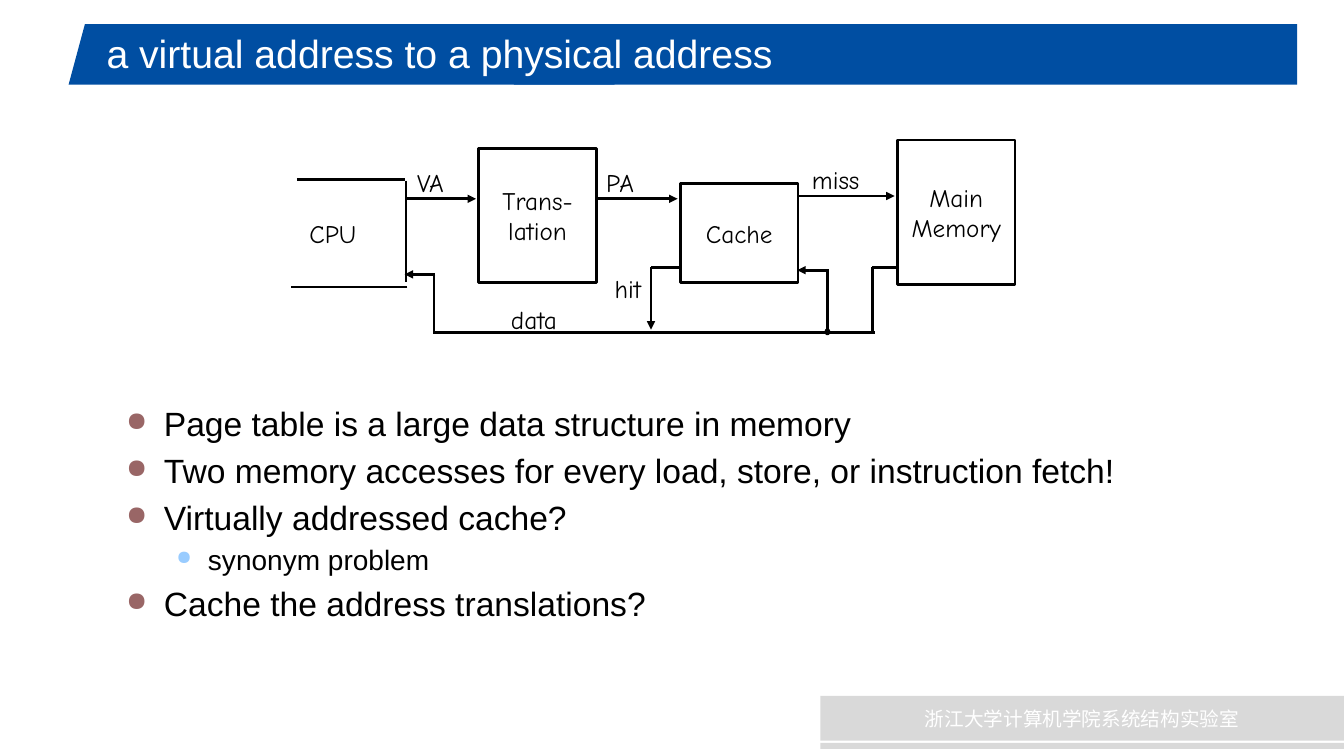
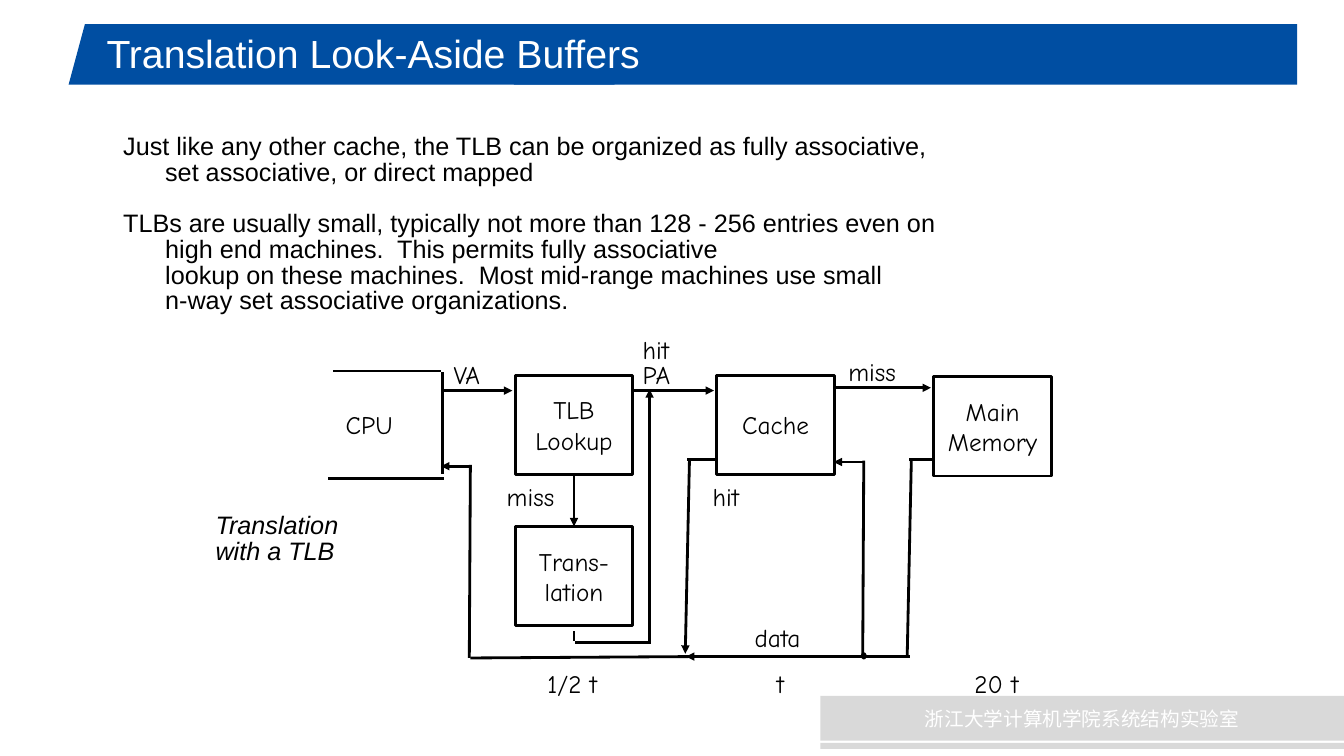
from dataclasses import dataclass

from lxml import etree
from pptx import Presentation
from pptx.dml.color import RGBColor
from pptx.enum import shapes, text
from pptx.oxml.ns import qn
from pptx.util import Pt


@dataclass(frozen=True)
class Theme:
    blue: str = "004EA2"
    gray: str = "D9D9D9"
    white: str = "FFFFFF"
    ink: str = "000000"
    dot: str = "99CCFF"
    bullets: tuple = ("996666", "99CCFF")
    bullet_scale: tuple = (80, 70)
    bullet_indent: tuple = ((27, 27), (58.5, 22.5))  # margin, hang
    body_sizes: tuple = (24, 20)
    font: str = "Arial"
    sketch: str = "Comic Neue"
    cjk: str = "Noto Sans CJK SC"
    title: int = 28
    note: int = 18
    footer: int = 14
    line: int = 2
    tight: float = 0.85


T = Theme()
LABEL_WIDTH = {"CPU": 44, "VA": 35, "PA": 32, "miss": 47, "hit": 34,
               "data": 49, "1/2 t": 53, "t": 19, "20 t": 46}
NODE_W, NODE_H = 84, 71
LEFT, CENTER = text.PP_ALIGN.LEFT, text.PP_ALIGN.CENTER
TOP, MIDDLE = text.MSO_ANCHOR.TOP, text.MSO_ANCHOR.MIDDLE


# Basic parts
def rgb(color):
    return RGBColor.from_string(color)


def sub(parent, tag, **attrs):
    return etree.SubElement(parent, qn(tag), attrs)


def style(p, size, color=T.ink, font=T.font, italic=None):
    p.font.size, p.font.name, p.font.italic = Pt(size), font, italic
    p.font.color.rgb = rgb(color)
    sub(p._p.pPr.find(qn("a:defRPr")), "a:ea", typeface=font)


def write(tf, lines, size, color=T.ink, font=T.font, align=LEFT, spacing=None,
          italic=None):
    for i, line in enumerate(lines):
        p = tf.paragraphs[0] if i == 0 else tf.add_paragraph()
        p.text, p.alignment, p.line_spacing = line, align, spacing
        style(p, size, color, font, italic)


def textbox(s, box, anchor=TOP, wrap=True, insets=None):
    tf = s.shapes.add_textbox(*map(Pt, box)).text_frame
    tf.word_wrap, tf.vertical_anchor = wrap, anchor
    if insets:
        dx, dy = map(Pt, insets)
        tf.margin_left = tf.margin_right = dx
        tf.margin_top = tf.margin_bottom = dy
    return tf


def note(s, box, lines, font=T.font, italic=None):
    tf = textbox(s, box, wrap=False, insets=(5, 2))
    tf.auto_size = text.MSO_AUTO_SIZE.SHAPE_TO_FIT_TEXT
    write(tf, lines, T.note, font=font, spacing=T.tight, italic=italic)


def shape(s, kind, box, fill=None, line=None):
    sp = s.shapes.add_shape(kind, *map(Pt, box))
    sp.shadow.inherit = False
    if fill:
        sp.fill.solid()
        sp.fill.fore_color.rgb = rgb(fill)
    else:
        sp.fill.background()
    if line:
        sp.line.color.rgb, sp.line.width = rgb(line), Pt(T.line)
    else:
        sp.line.fill.background()
    return sp


class Diagram:
    """Draws parts relative to the corner of the diagram."""

    def __init__(self, s, x, y):
        self.s, self.x, self.y = s, x, y

    def line(self, x1, y1, x2, y2, arrow=False):
        c = self.s.shapes.add_connector(
            shapes.MSO_CONNECTOR.STRAIGHT, Pt(self.x + x1), Pt(self.y + y1),
            Pt(self.x + x2), Pt(self.y + y2))
        c.line.color.rgb, c.line.width = rgb(T.ink), Pt(T.line)
        if arrow:
            sub(c.line._get_or_add_ln(), "a:tailEnd", type="triangle")
        sub(c._element.spPr, "a:effectLst")
        return c

    def node(self, lines, x, y, h=NODE_H):
        sp = shape(self.s, shapes.MSO_SHAPE.RECTANGLE,
                   (self.x + x, self.y + y, NODE_W, h), line=T.ink)
        sp.text_frame.word_wrap = False
        sp.text_frame.vertical_anchor = MIDDLE
        write(sp.text_frame, lines, T.note, font=T.sketch, align=CENTER)
        return sp

    def label(self, words, x, y):
        box = (self.x + x, self.y + y, LABEL_WIDTH[words], 22)
        note(self.s, box, [words], T.sketch)

    def dot(self, x, y):
        shape(self.s, shapes.MSO_SHAPE.OVAL, (self.x + x, self.y + y, 2, 3),
              T.dot, T.ink)


# Title band and footer
def frame(prs, title):
    s = prs.slides.add_slide(prs.slide_layouts[6])
    slant = shape(s, shapes.MSO_SHAPE.TRAPEZOID, (49, 17.3, 390, 43.2), T.blue)
    slant.adjustments[0] = 0.27
    shape(s, shapes.MSO_SHAPE.RECTANGLE, (367, 17.3, 559.5, 43.2), T.blue)
    bar = shape(s, shapes.MSO_SHAPE.RECTANGLE, (586, 497, 374, 32), T.gray)
    bar.text_frame.vertical_anchor = MIDDLE
    write(bar.text_frame, ["浙江大学计算机学院系统结构实验室"], T.footer,
          T.white, T.cjk, CENTER)
    shape(s, shapes.MSO_SHAPE.RECTANGLE, (586, 530.6, 374, 4.3), T.gray)
    write(textbox(s, (69, 18, 829, 40), MIDDLE), [title], T.title, T.white)
    return s


# Bulleted text: (level, words)
def bullets(s, box, items):
    tf = textbox(s, box)
    for i, (level, words) in enumerate(items):
        p = tf.paragraphs[0] if i == 0 else tf.add_paragraph()
        p.text, p.level = words, level
        margin, hang = T.bullet_indent[level]
        pPr = p._p.get_or_add_pPr()
        pPr.set("marL", str(Pt(margin)))
        pPr.set("indent", str(-Pt(hang)))
        sub(sub(pPr, "a:spcBef"), "a:spcPct", val="20000")
        sub(sub(pPr, "a:buClr"), "a:srgbClr", val=T.bullets[level])
        sub(pPr, "a:buSzPct", val=str(T.bullet_scale[level] * 1000))
        sub(pPr, "a:buChar", char="●")
        style(p, T.body_sizes[level])


# Paragraphs whose later lines are indented
def hanging_text(s, box, paragraphs, hang=30, gap=18.5):
    tf = textbox(s, box, insets=(5, 2))
    write(tf, paragraphs, T.note, spacing=T.tight)
    for i, p in enumerate(tf.paragraphs):
        p.space_before = Pt(gap if i else 0)
        p._p.pPr.set("marL", str(Pt(hang)))
        p._p.pPr.set("indent", str(-Pt(hang)))


# CPU, cache and memory, with the data bus at the given depth
def datapath(s, x, y, bus, memory_top, memory_h, lean=0):
    d = Diagram(s, x, y)
    # CPU, open on the left
    d.line(4, 28, 81, 28)
    d.line(82, 29, 82, 101.5)
    d.line(83, 105, 0, 105)
    d.label("CPU", 8, 57)
    # Cache and memory
    d.node(["Cache"], 278, 31)
    d.node(["Main", "Memory"], 433, memory_top, memory_h)
    # Requests
    for x1, x2, level in ((83, 132, 42), (217.5, 276, 42), (363, 431, 40)):
        d.line(x1, level, x2, level, arrow=True)
    d.label("VA", 85, 21)
    d.label("PA", 220, 21)
    d.label("miss", 367, 19)
    # Data from memory and cache down to the bus
    d.line(433, 91, 415, 91)
    d.line(415.5 + lean, 91, 415.5 - lean, bus)
    d.line(278, 91, 257, 91)
    d.line(257 + lean, 91, 257 - lean, bus - 2, arrow=True)
    # Data from the bus up to the CPU and cache
    for foot, tip in ((102, 81), (383, 361.5)):
        level = 96 if foot == 102 else 93
        d.line(foot - lean / 2, bus + 1, foot, level - 1)
        d.line(foot + 1, level, tip, level, arrow=True)
    d.dot(382, bus - 2)
    return d


def address_slide(prs):
    s = frame(prs, "a virtual address to a physical address")
    bus = 137.5
    d = datapath(s, 208, 100, bus, memory_top=0, memory_h=103)
    d.node(["Trans-", "lation"], 134, 6, 96)
    d.line(417, bus, 101, bus)
    d.label("hit", 226, 96.5)
    d.label("data", 152, 119)
    bullets(s, (83, 284, 828, 219), [
        (0, "Page table is a large data structure in memory"),
        (0, "Two memory accesses for every load, store, or instruction fetch!"),
        (0, "Virtually addressed cache?"),
        (1, "synonym problem"),
        (0, "Cache the address translations?")])


def tlb_slide(prs):
    s = frame(prs, "Translation Look-Aside Buffers")
    hanging_text(s, (83, 94.3, 796, 134), [
        "Just like any other cache, the TLB can be organized as fully "
        "associative,\vset associative, or direct mapped",
        "TLBs are usually small, typically not more than 128 - 256 entries "
        "even on\vhigh end machines.  This permits fully associative\v"
        "lookup on these machines.  Most mid-range machines use small\v"
        "n-way set associative organizations."])
    bus = 232
    d = datapath(s, 234, 237, bus, memory_top=32, memory_h=NODE_H, lean=1.5)
    # Lookup, and translation on a miss
    lookup = d.node(["TLB", "Lookup"], 134, 31)
    translation = d.node(["Trans-", "lation"], 134, 139)
    miss = d.line(176, 102, 176, 139, arrow=True)
    miss.begin_connect(lookup, 2)
    miss.end_connect(translation, 0)
    d.label("miss", 123, 108)
    # Translated address joins the path to the cache
    d.line(176, 214, 176, 221)
    d.line(177, 222, 229, 222)
    d.line(230, 223, 230, 41, arrow=True)
    d.label("hit", 220, 3)
    # Bus
    d.line(416, bus, 256, bus, arrow=True)
    d.line(258, bus, 102, bus + 1)
    d.label("hit", 270, 108)
    d.label("data", 300, 209)
    # Access times
    for words, x in (("1/2 t", 152), ("t", 316), ("20 t", 457)):
        d.label(words, x, 242)
    note(s, (149, 365, 99, 41), ["Translation", "with a TLB"], italic=True)


def main():
    prs = Presentation()
    prs.slide_width, prs.slide_height = Pt(960), Pt(540)
    address_slide(prs)
    tlb_slide(prs)
    prs.save("out.pptx")


if __name__ == "__main__":
    main()
